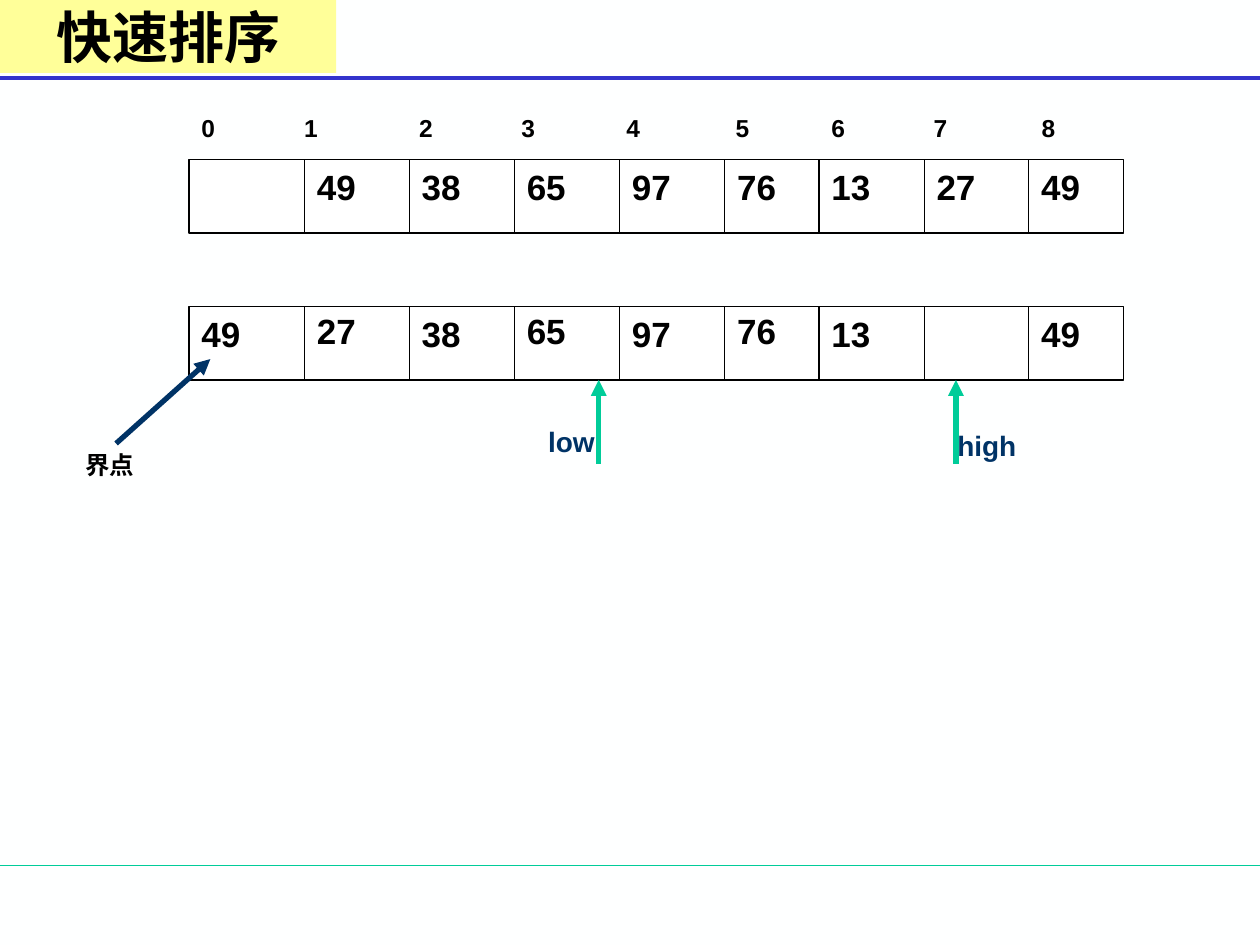
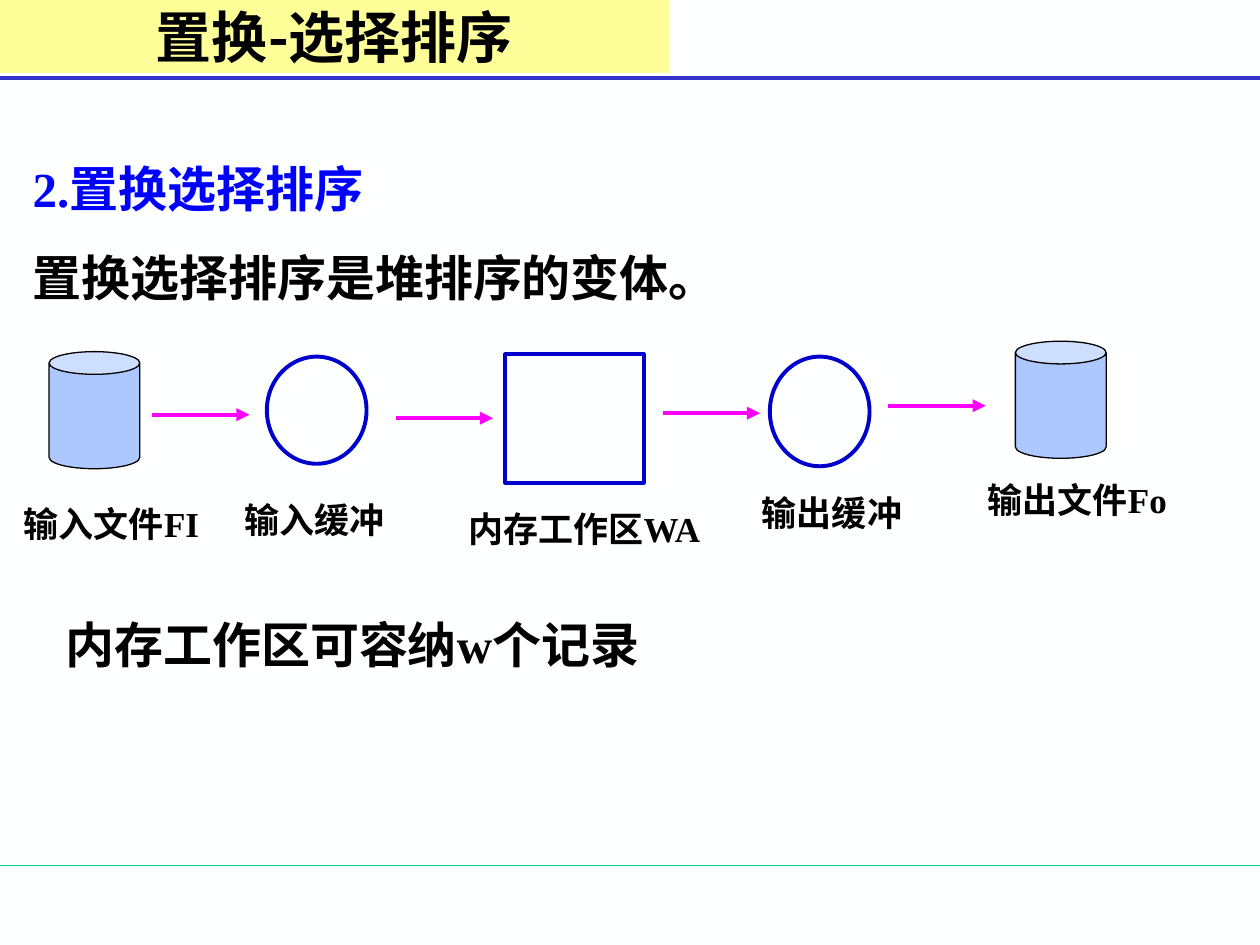
from lxml import etree
from pptx import Presentation
from pptx.dml.color import RGBColor
from pptx.enum import shapes, text
from pptx.oxml.ns import qn
from pptx.util import Cm, Pt

COLORS = {
    "back": "FEFFFF", "white": "FFFFFF", "black": "000000",
    "band": "FFFF99", "rule": "3333CC", "green": "00CC99",
    "navy": "003366", "heading": "0000FF", "outline": "0000CC",
    "flow": "FF00FF", "file": "ADC8FF",
}
SANS, SERIF, CJK = "Arial", "Times New Roman", "Noto Sans CJK SC"
PAGE_W, PAGE_H = 25.4, 19.05
SHAPE = shapes.MSO_SHAPE


def rgb(name):
    return RGBColor.from_string(COLORS[name])


# Shared drawing helpers
def style_paragraph(p, size, font, color="black"):
    p.font.size, p.font.bold, p.font.name = Pt(size), True, font
    p.font.color.rgb = rgb(color)
    props = p._p.pPr.find(qn("a:defRPr"))
    etree.SubElement(props, qn("a:ea"), typeface=CJK)


def add_text(s, words, x, y, w, h, size, font=SANS, color="black"):
    tf = s.shapes.add_textbox(Cm(x), Cm(y), Cm(w), Cm(h)).text_frame
    tf.word_wrap = True
    p = tf.paragraphs[0]
    p.text = words
    style_paragraph(p, size, font, color)
    return tf


def add_shape(s, kind, x, y, w, h, fill=None, line=None, weight=0.75):
    sp = s.shapes.add_shape(kind, Cm(x), Cm(y), Cm(w), Cm(h))
    sp.shadow.inherit = False
    if fill:
        sp.fill.solid()
        sp.fill.fore_color.rgb = rgb(fill)
    else:
        sp.fill.background()
    if line:
        sp.line.color.rgb = rgb(line)
        sp.line.width = Pt(weight)
    else:
        sp.line.fill.background()
    return sp


def add_line(s, x1, y1, x2, y2, color, weight=0.75, arrow=False):
    c = s.shapes.add_connector(shapes.MSO_CONNECTOR.STRAIGHT,
                               Cm(x1), Cm(y1), Cm(x2), Cm(y2))
    c.line.color.rgb = rgb(color)
    c.line.width = Pt(weight)
    if arrow:
        etree.SubElement(c.line._get_or_add_ln(), qn("a:tailEnd"), type="triangle")
    etree.SubElement(c._element.spPr, qn("a:effectLst"))


def add_slide(prs, title, band_w, font):
    s = prs.slides.add_slide(prs.slide_layouts[6])
    s.background.fill.solid()
    s.background.fill.fore_color.rgb = rgb("back")
    # Footer and header rules
    add_line(s, 0, 17.45, PAGE_W, 17.45, "green")
    add_line(s, 0, 1.57, PAGE_W, 1.57, "rule", 2.25)
    # Title band
    tf = add_shape(s, SHAPE.RECTANGLE, 0, 0, band_w, 1.47, "band").text_frame
    tf.vertical_anchor = text.MSO_ANCHOR.MIDDLE
    p = tf.paragraphs[0]
    p.text = title
    p.alignment = text.PP_ALIGN.CENTER
    style_paragraph(p, 32, font)
    return s


# Quicksort slide
ARRAY_X, ARRAY_W, ARRAY_H = 3.81, 18.84, 1.48
CELL_X = [0, 2.33, 4.44, 6.56, 8.68, 10.8, 12.7, 14.82, 16.93]
INDEX_TABS = [2.07, 4.39, 6.45, 8.57, 10.77, 12.7, 14.76, 16.94]


def draw_indexes(s, x, y):
    tf = add_text(s, "", x, y, ARRAY_W, 0.86, 14)
    p = tf.paragraphs[0]
    p.text = "\t".join(str(i) for i in range(len(CELL_X)))
    tabs = etree.Element(qn("a:tabLst"))
    for pos in INDEX_TABS:
        etree.SubElement(tabs, qn("a:tab"), pos=str(Cm(pos)), algn="l")
    p._p.pPr.insert(0, tabs)


def draw_array(s, x, y, values, raised=()):
    add_shape(s, SHAPE.RECTANGLE, x, y, ARRAY_W, ARRAY_H, "white", "black")
    for dx in CELL_X[1:]:
        add_line(s, x + dx, y, x + dx, y + ARRAY_H, "black")
    for i, (dx, value) in enumerate(zip(CELL_X, values)):
        if value:
            lift = 0.06 if i in raised else 0
            add_text(s, value, x + dx, y - lift, 1.7, 1.12, 20)


def draw_pointer(s, x, y, label, dx, dy):
    add_line(s, x, y + 1.69, x, y, "green", 3, arrow=True)
    add_text(s, label, x + dx, y + dy, 2.34, 0.94, 16, color="navy")


def draw_pivot(s, x, y):
    add_text(s, "界点", x, y, 2.11, 0.86, 14)
    add_line(s, x + 0.87, y, x + 2.77, y - 1.7, "navy", 3, arrow=True)


def quicksort_slide(prs):
    s = add_slide(prs, "快速排序", 6.78, SERIF)
    draw_indexes(s, ARRAY_X, 2.16)
    draw_array(s, ARRAY_X, 3.22,
               ["", "49", "38", "65", "97", "76", "13", "27", "49"])
    draw_array(s, ARRAY_X, 6.18,
               ["49", "27", "38", "65", "97", "76", "13", "", "49"], (1, 3, 5))
    draw_pointer(s, 12.07, 7.66, "low", -1.27, 0.77)
    draw_pointer(s, 19.27, 7.66, "high", -0.22, 0.85)
    draw_pivot(s, 1.47, 8.94)


# Replacement selection slide
FILE = dict(kind=SHAPE.CAN, fill="file", line="black")
BUFFER = dict(kind=SHAPE.OVAL, line="outline", weight=2.25)
MEMORY = dict(kind=SHAPE.RECTANGLE, line="outline", weight=2.25)
# Look, box of the symbol, label and its left, top and width
STAGES = [
    (FILE, (0.99, 0.21, 1.83, 2.36), "输入文件FI", (0.23, 3.13, 4.11)),
    (BUFFER, (5.38, 0.31, 2.01, 2.16), "输入缓冲", (4.67, 3.05, 4.11)),
    (MEMORY, (10.19, 0.26, 2.79, 2.59), "内存工作区WA", (9.19, 3.23, 5.97)),
    (BUFFER, (15.52, 0.31, 2.01, 2.21), "输出缓冲", (15.11, 2.9, 4.11)),
    (FILE, (20.47, 0, 1.83, 2.36), "输出文件Fo", (19.66, 2.65, 4.37)),
]
FLOW_ARROWS = [(3.07, 1.48), (7.98, 1.55), (13.36, 1.45), (17.91, 1.3)]


def draw_intro(s, x, y):
    tf = add_text(s, "2.置换选择排序", x, y, 24.23, 3.25, 28, SERIF, "heading")
    p = tf.add_paragraph()
    p.text = "置换选择排序是堆排序的变体。"
    p.space_before = Pt(17.5)
    style_paragraph(p, 28, SERIF)


def draw_flow(s, x, y):
    for look, (dx, dy, w, h), label, (lx, ly, lw) in STAGES:
        add_shape(s, x=x + dx, y=y + dy, w=w, h=h, **look)
        add_text(s, label, x + lx, y + ly, lw, 1.09, 20, SERIF)
    for dx, dy in FLOW_ARROWS:
        add_line(s, x + dx, y + dy, x + dx + 1.96, y + dy, "flow", 2.5, arrow=True)


def replacement_slide(prs):
    s = add_slide(prs, "置换-选择排序", 13.49, CJK)
    draw_intro(s, 0.41, 3.07)
    draw_flow(s, 0, 6.88)
    add_text(s, "内存工作区可容纳w个记录", 1.07, 12.27, 21.79, 1.45, 28, SERIF)


def main():
    prs = Presentation()
    prs.slide_width, prs.slide_height = Cm(PAGE_W), Cm(PAGE_H)
    quicksort_slide(prs)
    replacement_slide(prs)
    prs.save("out.pptx")


if __name__ == "__main__":
    main()
